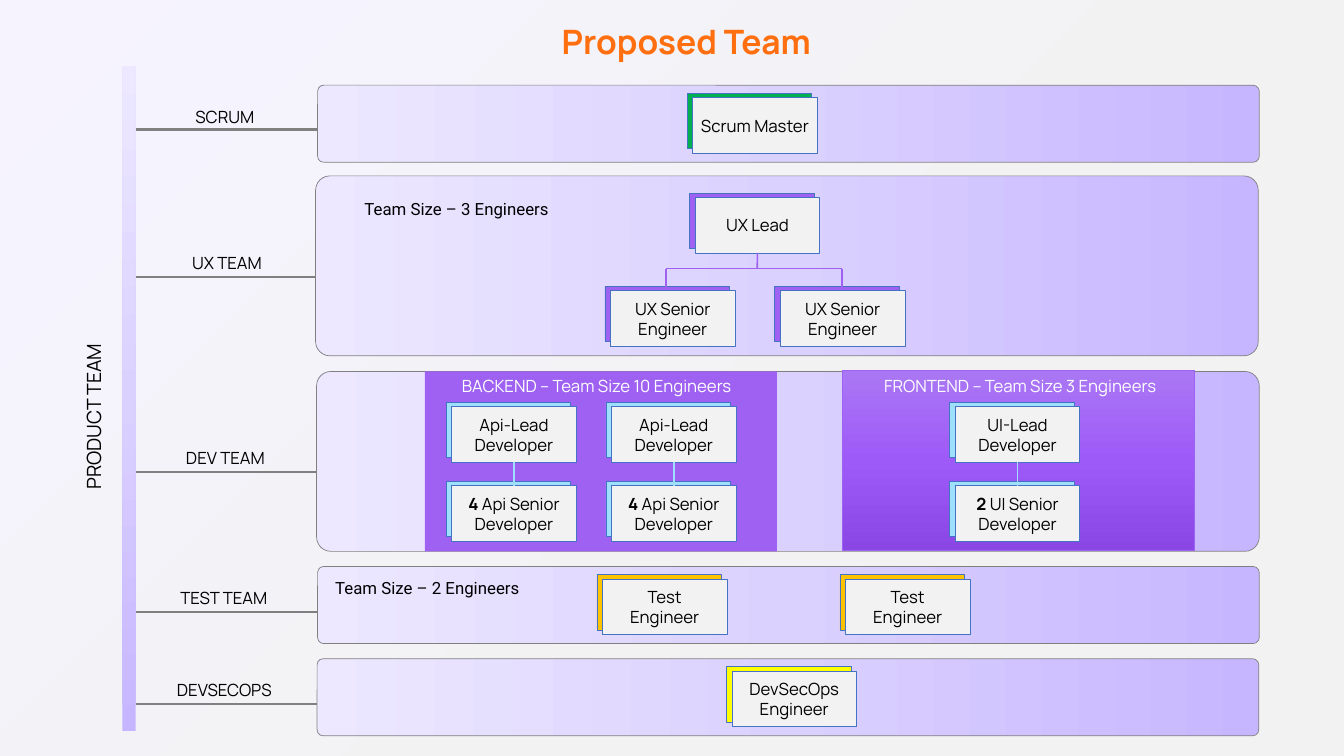
from copy import deepcopy

from lxml import etree
from pptx import Presentation
from pptx.dml.color import RGBColor
from pptx.enum.shapes import MSO_CONNECTOR, MSO_SHAPE
from pptx.enum.text import MSO_ANCHOR, MSO_AUTO_SIZE, PP_ALIGN
from pptx.oxml.ns import qn
from pptx.util import Emu, Pt

RECT, ROUNDED = MSO_SHAPE.RECTANGLE, MSO_SHAPE.ROUNDED_RECTANGLE
STRAIGHT = MSO_CONNECTOR.STRAIGHT
LEFT, CENTER = PP_ALIGN.LEFT, PP_ALIGN.CENTER
TOP, MIDDLE = MSO_ANCHOR.TOP, MSO_ANCHOR.MIDDLE
NO_AUTOFIT = MSO_AUTO_SIZE.NONE
BOTTOM_SIDE, TOP_SIDE = 2, 0

PX = 9144  # 100 px to the inch

THEME = {
    "font": "Manrope", "note_font": "Roboto",
    "title_size": 48, "side_size": 28, "body_size": 24,
    "title": "FF6E0F", "text": "000000", "light_text": "FFFFFF",
    "backdrop": ["F6F3FF", "F2F2F2"],
    "lavender": ["C6B6FF", "DBD1FF", "EDE8FF"],
    "frontend": ["AA77F4", "9E5AF8", "8B47E5"],
    "purple": "9F61F1", "grey": "808080",
    "card": "F2F2F2", "card_line": "4472C4",
    "scrum": "00B050", "dev": "9EE0FC", "test": "FEC300", "devsecops": "FFFF00",
}


def add_box(preset, box, fill, angle=0, line=None, line_width=1):
    """Add a shape; a list of three colours makes a gradient fill."""
    shape = slide.shapes.add_shape(preset, *[Emu(v * PX) for v in box])
    shape.shadow.inherit = False
    if isinstance(fill, list):
        shape.fill.gradient()
        shape.fill.gradient_angle = angle
        stop_list = shape._element.find(".//" + qn("a:gsLst"))
        stop_list.insert(1, deepcopy(stop_list[0]))
        for stop, colour, position in zip(shape.fill.gradient_stops, fill, (0, 0.5, 1)):
            stop.color.rgb = RGBColor.from_string(colour)
            stop.position = position
    else:
        shape.fill.solid()
        shape.fill.fore_color.rgb = RGBColor.from_string(fill)
    if line:
        shape.line.color.rgb = RGBColor.from_string(line)
        shape.line.width = Pt(line_width)
    else:
        shape.line.fill.background()
    return shape


def write(shape, text, size=THEME["body_size"], colour=THEME["text"],
          font=THEME["font"], align=CENTER, anchor=TOP, bold=False):
    frame = shape.text_frame
    frame.word_wrap = True
    frame.auto_size = NO_AUTOFIT
    frame.vertical_anchor = anchor
    frame.text = text
    for paragraph in frame.paragraphs:
        paragraph.alignment = align
        paragraph.font.size = Pt(size)
        paragraph.font.name = font
        paragraph.font.bold = bold
        paragraph.font.color.rgb = RGBColor.from_string(colour)


presentation = Presentation()
presentation.slide_width = Emu(2666 * PX)
presentation.slide_height = Emu(1500 * PX)
slide = presentation.slides.add_slide(presentation.slide_layouts[5])

# Backdrop
backdrop = slide.background.fill
backdrop.gradient()
backdrop.gradient_angle = 315
for stop, colour, position in zip(backdrop.gradient_stops, THEME["backdrop"], (0, 0.61)):
    stop.color.rgb = RGBColor.from_string(colour)
    stop.position = position

# Title
title = slide.shapes.title
title.left, title.top, title.width, title.height = [Emu(v * PX) for v in (1104, 36, 560, 91)]
write(title, "Proposed Team", THEME["title_size"], THEME["title"], align=LEFT, bold=True)

# Links from the spine to the rows: start, end, colour, width
links = [((270, y), (634, y), THEME["grey"], 3) for y in (257, 550, 937, 1215, 1396)]
# Tree below the UX lead
links += [(start, end, THEME["purple"], 2.25) for start, end in (
    ((1321, 533), (1671, 533)),
    ((1321, 533), (1321, 576)),
    ((1670, 533), (1670, 576)),
)]

# Team rows
rows = [
    (630, 169, 1868, 153),
    (626, 349, 1870, 357),
    (628, 737, 1870, 357),
    (630, 1124, 1868, 153),
    (629, 1307, 1868, 153),
]
for row in rows:
    band = add_box(ROUNDED, row, THEME["lavender"], 180, THEME["grey"])
    band.adjustments[0] = 0.08

# Spine and the two development areas
add_box(RECT, (243, 130, 26, 1320), THEME["lavender"], 90)
add_box(RECT, (843, 737, 698, 357), THEME["purple"])
add_box(RECT, (1671, 735, 698, 357), THEME["frontend"], 270, THEME["purple"], 0.5)

# Role cards: left, top, accent, head count, role
roles = [
    (1363, 185, "scrum", "", "Scrum Master"),
    (1368, 383, "purple", "", "UX Lead"),
    (1200, 568, "purple", "", "UX Senior\nEngineer"),
    (1537, 568, "purple", "", "UX Senior\nEngineer"),
    (885, 798, "dev", "", "Api-Lead Developer"),
    (885, 955, "dev", "4 ", "Api Senior\nDeveloper"),
    (1202, 798, "dev", "", "Api-Lead Developer"),
    (1202, 955, "dev", "4 ", "Api Senior\nDeveloper"),
    (1884, 798, "dev", "", "UI-Lead Developer"),
    (1884, 955, "dev", "2 ", "UI Senior\nDeveloper"),
    (1184, 1140, "test", "", "Test\nEngineer"),
    (1666, 1140, "test", "", "Test\nEngineer"),
    (1441, 1323, "devsecops", "", "DevSecOps Engineer"),
]
cards = []
for left, top, accent, head_count, role in roles:
    add_box(RECT, (left, top, 247, 110), THEME[accent], line=THEME["card_line"])
    card = add_box(RECT, (left + 11, top + 9, 247, 110), THEME["card"], line=THEME["card_line"])
    write(card, role, anchor=MIDDLE)
    if head_count:
        first_line = card.text_frame.paragraphs[0]
        rest = first_line.runs[0].text
        first_line.runs[0].text = head_count
        first_line.runs[0].font.bold = True
        first_line.add_run().text = rest
    cards.append(card)

# Draw the links; those to the rows go behind the bands
first_band = slide.shapes[1]._element
joins = [(cards[i], cards[i + 1], THEME["dev"]) for i in (4, 6, 8)]
joins.append((cards[1], None, THEME["purple"]))
connectors = []
for start, end, colour, width in links:
    connector = slide.shapes.add_connector(STRAIGHT, *[Emu(v * PX) for v in start + end])
    if colour == THEME["grey"]:
        first_band.addprevious(connector._element)
    connectors.append((connector, colour, width))
for upper, lower, colour in joins:
    connector = slide.shapes.add_connector(STRAIGHT, 0, 0, Emu(1502 * PX), Emu(533 * PX))
    connector.begin_connect(upper, BOTTOM_SIDE)
    if lower:
        connector.end_connect(lower, TOP_SIDE)
    connectors.append((connector, colour, 2.25))
for connector, colour, width in connectors:
    connector.line.color.rgb = RGBColor.from_string(colour)
    connector.line.width = Pt(width)
    etree.SubElement(connector._element.spPr, qn("a:effectLst"))

# Row names, area headings and team sizes
labels = [
    ("SCRUM", (262, 207, 368, 50), {}),
    ("UX TEAM", (266, 496, 368, 50), {}),
    ("DEV TEAM", (263, 883, 368, 50), {}),
    ("TEST TEAM", (260, 1162, 368, 50), {}),
    ("DEVSECOPS", (261, 1344, 368, 50), {}),
    ("BACKEND – Team Size 10 Engineers", (840, 740, 687, 50), {"colour": THEME["light_text"]}),
    ("FRONTEND – Team Size 3 Engineers", (1684, 740, 679, 50), {"colour": THEME["light_text"]}),
    ("Team Size – 3 Engineers", (679, 389, 453, 50), {"font": THEME["note_font"]}),
    ("Team Size – 2 Engineers", (621, 1141, 453, 50), {"font": THEME["note_font"]}),
]
for text, box, style in labels:
    write(slide.shapes.add_textbox(*[Emu(v * PX) for v in box]), text, **style)

# Name of the whole team, beside the spine
product_team = slide.shapes.add_textbox(*[Emu(v * PX) for v in (-247, 798, 865, 57)])
product_team.rotation = 270
write(product_team, "PRODUCT TEAM", THEME["side_size"])

presentation.save("out.pptx")
